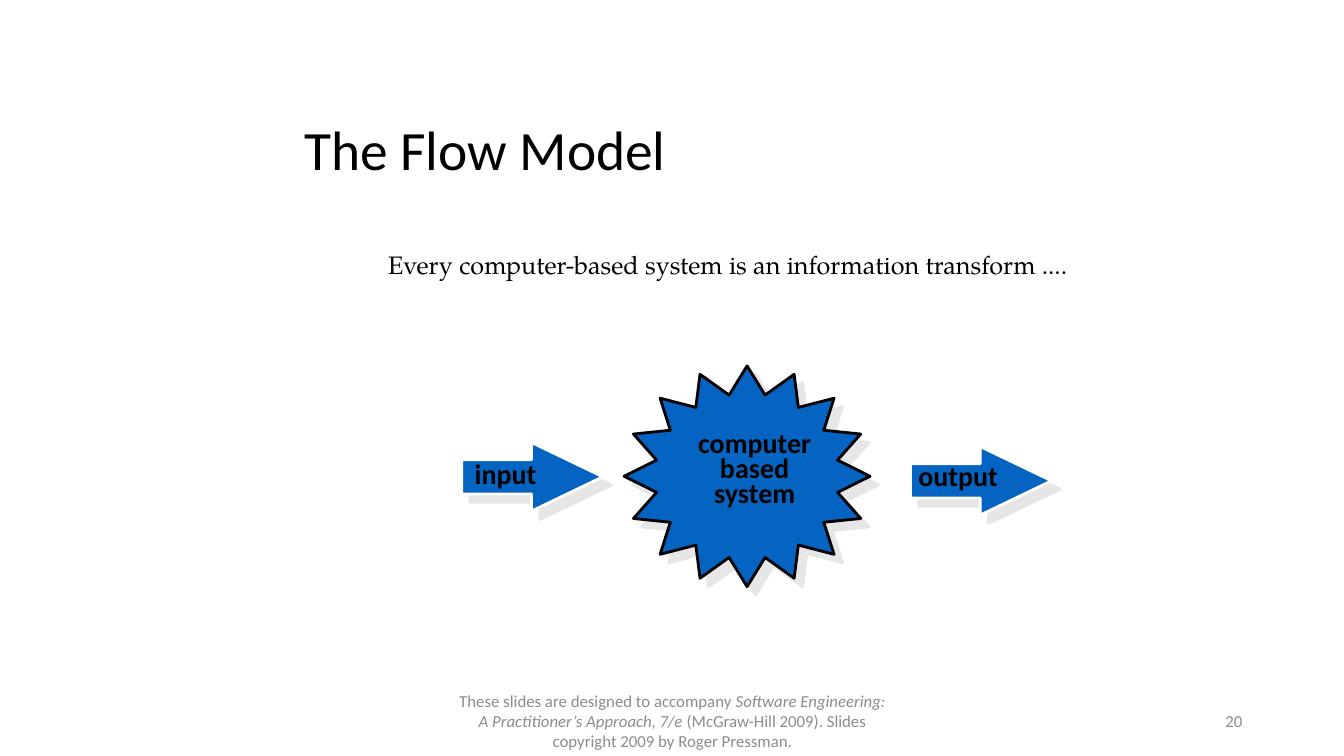
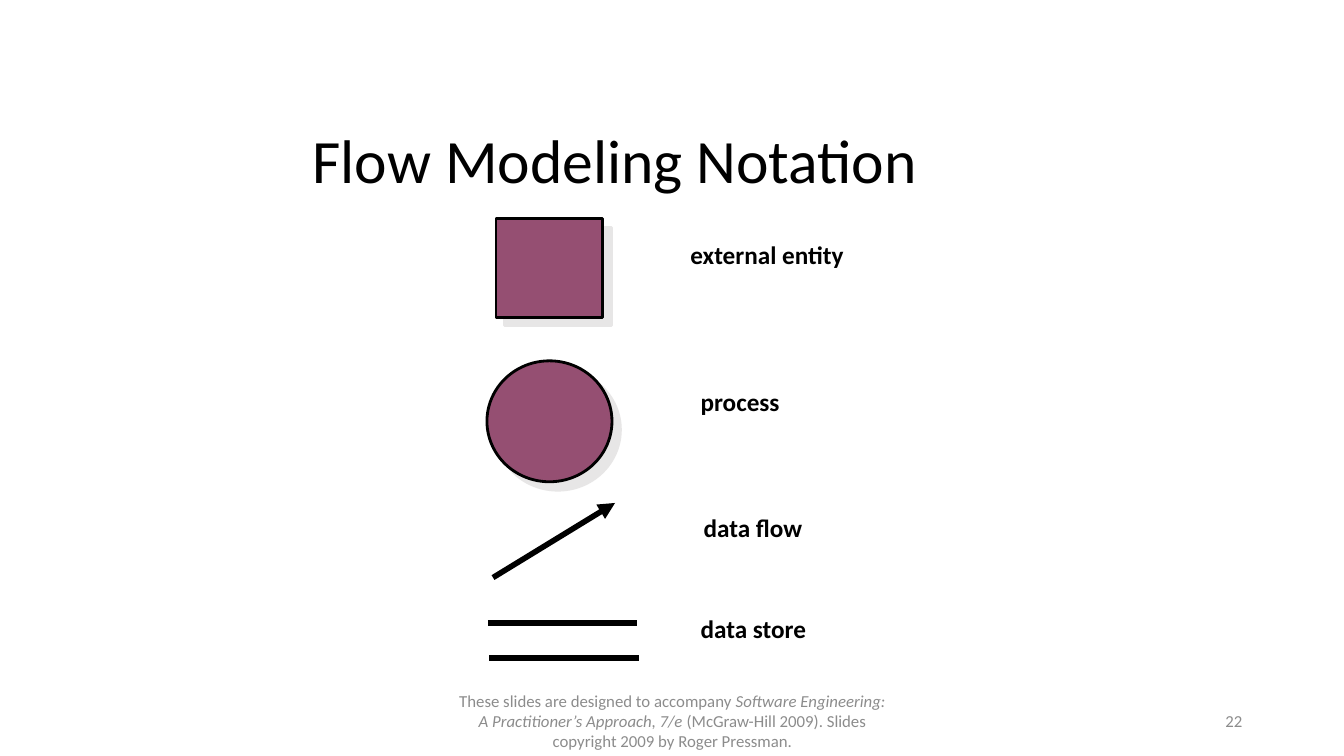
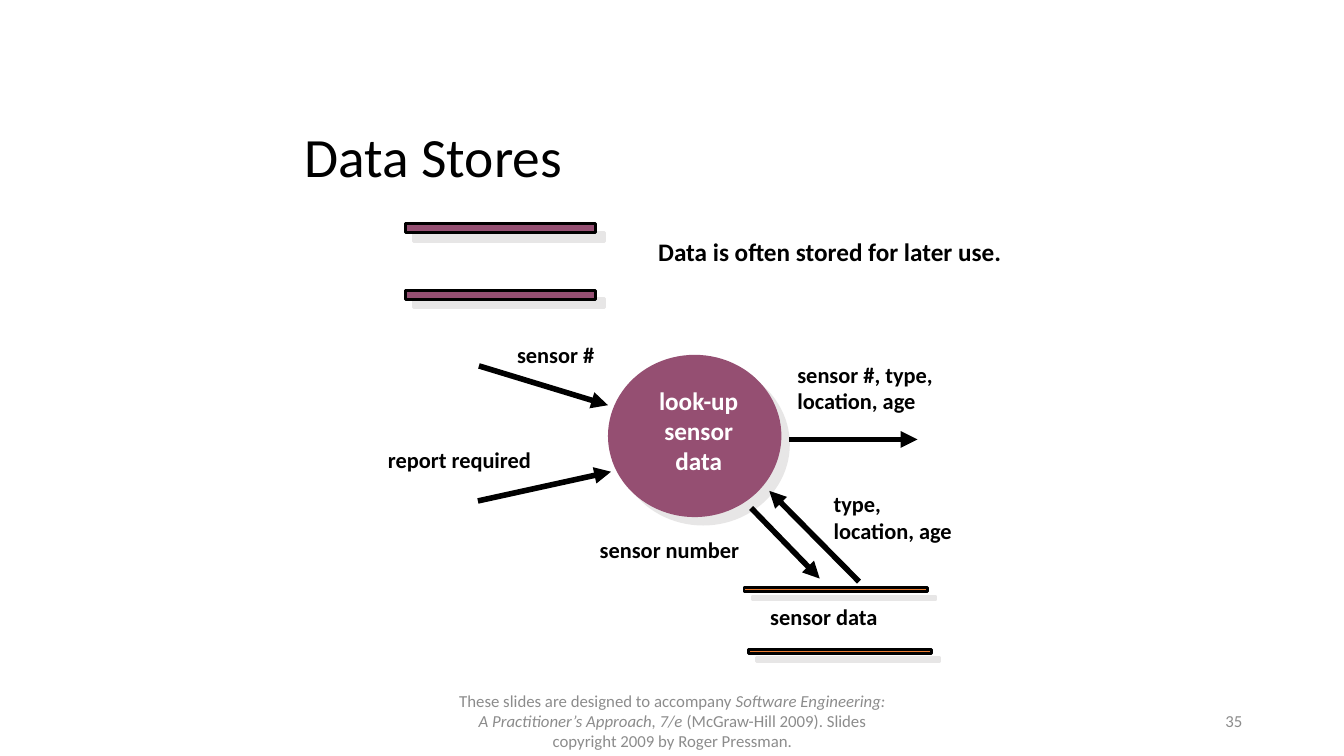
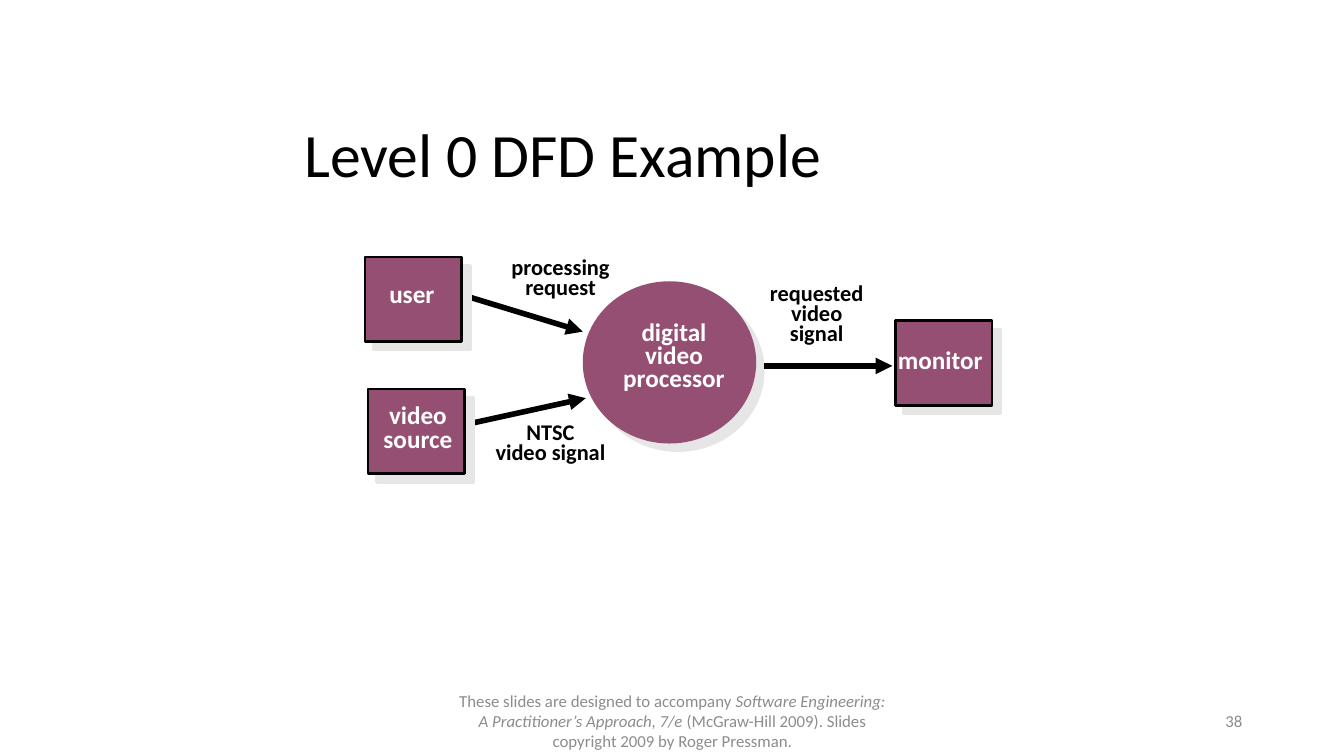
from lxml.etree import SubElement
from pptx import Presentation
from pptx.dml.color import RGBColor
from pptx.enum.shapes import MSO_CONNECTOR as Link, MSO_SHAPE as Kind
from pptx.enum.text import MSO_ANCHOR as Anchor, MSO_AUTO_SIZE as Fit, PP_ALIGN as Align
from pptx.oxml.ns import qn
from pptx.util import Inches, Pt

BLACK = RGBColor(0, 0, 0)
WHITE = RGBColor(255, 255, 255)
GRAY = RGBColor(0x8C, 0x8C, 0x8C)
BLUE = RGBColor(0x05, 0x63, 0xC1)
PLUM = RGBColor(0x95, 0x4F, 0x72)
ORANGE = RGBColor(0xED, 0x7D, 0x31)
SHADE = "E7E6E6"
SANS = "Calibri"
SERIF = "TeX Gyre Pagella"
CREDIT = (
    ("These slides are designed to accompany ", False),
    ("Software Engineering: A Practitioner’s Approach, 7/e ", True),
    ("(McGraw-Hill 2009). Slides copyright 2009 by Roger Pressman.", False),
)


class Deck:
    def __init__(self):
        self.show = Presentation()
        self.show.slide_width = Inches(13.33)
        self.show.slide_height = Inches(7.5)

    def start(self, title, number, left, top, width, height, size):
        self.slide = self.show.slides.add_slide(self.show.slide_layouts[6])
        self.text(title, left, top, width, height, size=size, bold=False,
                  lead=0.9, wrap=True, anchor=Anchor.MIDDLE)
        foot = dict(size=12, color=GRAY, bold=False, wrap=True, anchor=Anchor.MIDDLE)
        para = self.text("", 4.42, 6.95, 4.5, 0.4, align=Align.CENTER, **foot)
        for part, slant in CREDIT:
            run = para.add_run()
            run.text = part
            run.font.italic = slant
        self.text(str(number), 9.42, 6.95, 3, 0.4, align=Align.RIGHT, **foot)

    def text(self, words, left, top, width, height, size=18, color=BLACK, bold=True,
             face=SANS, align=Align.LEFT, lead=None, wrap=False, anchor=Anchor.TOP):
        box = self.slide.shapes.add_textbox(*map(Inches, (left, top, width, height)))
        frame = box.text_frame
        frame.text = words
        frame.word_wrap = wrap
        frame.auto_size = Fit.NONE if wrap else Fit.SHAPE_TO_FIT_TEXT
        frame.vertical_anchor = anchor
        for para in frame.paragraphs:
            para.alignment = align
            para.line_spacing = lead
            font = para.font
            font.name, font.size, font.bold = face, Pt(size), bold
            font.color.rgb = color
        return frame.paragraphs[0]

    def shape(self, kind, left, top, width, height, fill=PLUM, line=BLACK, bends=()):
        item = self.slide.shapes.add_shape(kind, *map(Inches, (left, top, width, height)))
        for at, bend in enumerate(bends):
            item.adjustments[at] = bend
        item.fill.solid()
        item.fill.fore_color.rgb = fill
        if line is None:
            item.line.fill.background()
        else:
            item.line.color.rgb = line
            item.line.width = Pt(2)
        item.shadow.inherit = False
        effects = item._element.spPr.find(qn("a:effectLst"))
        shadow = SubElement(effects, qn("a:outerShdw"), blurRad="0",
                            dist=str(Pt(8.5)), dir="2700000", algn="ctr", rotWithShape="0")
        SubElement(shadow, qn("a:srgbClr"), val=SHADE)

    def line(self, x, y, end, stop, arrow=True):
        link = self.slide.shapes.add_connector(
            Link.STRAIGHT, *map(Inches, (x, y, end, stop)))
        link.line.color.rgb = BLACK
        link.line.width = Pt(4)
        if arrow:
            SubElement(link.line._get_or_add_ln(), qn("a:tailEnd"), type="triangle")
        SubElement(link._element.spPr, qn("a:effectLst"))

    def flow(self):
        self.start("The Flow Model", 20, 2.92, 1.25, 7.83, 0.53, 39.6)
        self.text("Every computer-based system is an information transform ....",
                  3.75, 2.42, 7.29, 0.4, bold=False, face=SERIF, wrap=True)
        self.shape(Kind.STAR_16_POINT, 6.19, 3.63, 2.44, 2.19, BLUE, bends=[0.375])
        for left, top in ((4.58, 4.39), (9.03, 4.43)):
            self.shape(Kind.RIGHT_ARROW, left, top, 1.4, 0.68, BLUE, WHITE, [0.5, 1.04])
        self.text("computer\nbased\nsystem", 6.82, 4.25, 1.33, 0.87, size=20,
                  align=Align.CENTER, lead=0.75)
        self.text("input", 4.61, 4.48, 0.82, 0.43, size=20)
        self.text("output", 9.01, 4.5, 1, 0.43, size=20)

    def signs(self):
        self.start("Flow Modeling Notation", 22, 3, 1.17, 7.06, 0.9, 44)
        self.shape(Kind.RECTANGLE, 4.92, 2.17, 1.06, 0.98)
        self.shape(Kind.OVAL, 4.83, 3.58, 1.24, 1.2)
        self.line(4.89, 5.73, 6.1, 4.99)
        self.line(4.84, 6.18, 6.32, 6.18, arrow=False)
        self.line(4.85, 6.53, 6.34, 6.53, arrow=False)
        for words, left, top, width in (
            ("external entity", 6.75, 2.33, 1.73),
            ("process", 6.85, 3.78, 0.99),
            ("data flow", 6.88, 5.03, 1.19),
            ("data store", 6.85, 6.04, 1.25),
        ):
            self.text(words, left, top, width, 0.4)

    def hub(self, left, top):
        self.shape(Kind.OVAL, left, top, 1.72, 1.61, line=None)
        for x, y, end, stop in (
            (-1.28, 0.11, 0, 0.5),
            (-1.29, 1.45, 0.03, 1.16),
            (1.8, 0.84, 3.07, 0.84),
        ):
            self.line(left + x, top + y, left + end, top + stop)

    def stores(self):
        self.start("Data Stores", 35, 2.92, 1.25, 5.28, 0.67, 39.6)
        for top in (2.22, 2.88):
            self.shape(Kind.RECTANGLE, 4.02, top, 1.89, 0.09)
        self.text("Data is often stored for later use.", 6.43, 2.3, 3.64, 0.4)
        self.hub(6.03, 3.52)
        self.text("look-up\nsensor\ndata", 6.43, 3.77, 1, 1.31, color=WHITE,
                  align=Align.CENTER)
        for left, top in ((7.38, 5.83), (7.42, 6.44)):
            self.shape(Kind.RECTANGLE, left, top, 1.82, 0.04, ORANGE)
        self.line(7.45, 5.04, 8.13, 5.74)
        self.line(8.52, 5.77, 7.63, 4.87)
        for words, left, top, width, height in (
            ("sensor #", 5.03, 3.34, 0.98, 0.37),
            ("report required", 3.75, 4.38, 1.64, 0.37),
            ("sensor #, type,\nlocation, age", 7.81, 3.53, 1.61, 0.64),
            ("sensor data", 7.54, 5.93, 1.28, 0.37),
            ("sensor number", 5.85, 5.27, 1.6, 0.37),
            ("type,\nlocation, age", 8.17, 4.81, 1.39, 0.64),
        ):
            self.text(words, left, top, width, height, size=16)

    def level(self):
        self.start("Level 0 DFD Example", 38, 2.92, 1.17, 7.08, 0.78, 44)
        self.hub(5.78, 2.79)
        for left, top in ((3.62, 2.55), (3.65, 3.86), (8.88, 3.18)):
            self.shape(Kind.RECTANGLE, left, top, 0.96, 0.84)
        for words, left, top, width, height, lead in (
            ("user", 3.76, 2.71, 0.65, 0.4, None),
            ("video\nsource", 3.7, 3.97, 0.89, 0.59, 0.8),
            ("digital\nvideo\nprocessor", 6.08, 3.16, 1.21, 0.79, 0.75),
            ("monitor", 8.8, 3.37, 1.05, 0.4, None),
        ):
            self.text(words, left, top, width, height, color=WHITE,
                      align=Align.CENTER, lead=lead)
        for words, left, top, width, height in (
            ("processing\nrequest", 4.94, 2.52, 1.24, 0.51),
            ("NTSC\nvideo signal", 4.81, 4.16, 1.3, 0.51),
            ("requested\nvideo\nsignal", 7.53, 2.78, 1.14, 0.71),
        ):
            self.text(words, left, top, width, height, size=16,
                      align=Align.CENTER, lead=0.75)


def main():
    deck = Deck()
    deck.flow()
    deck.signs()
    deck.stores()
    deck.level()
    deck.show.save("out.pptx")


if __name__ == "__main__":
    main()
